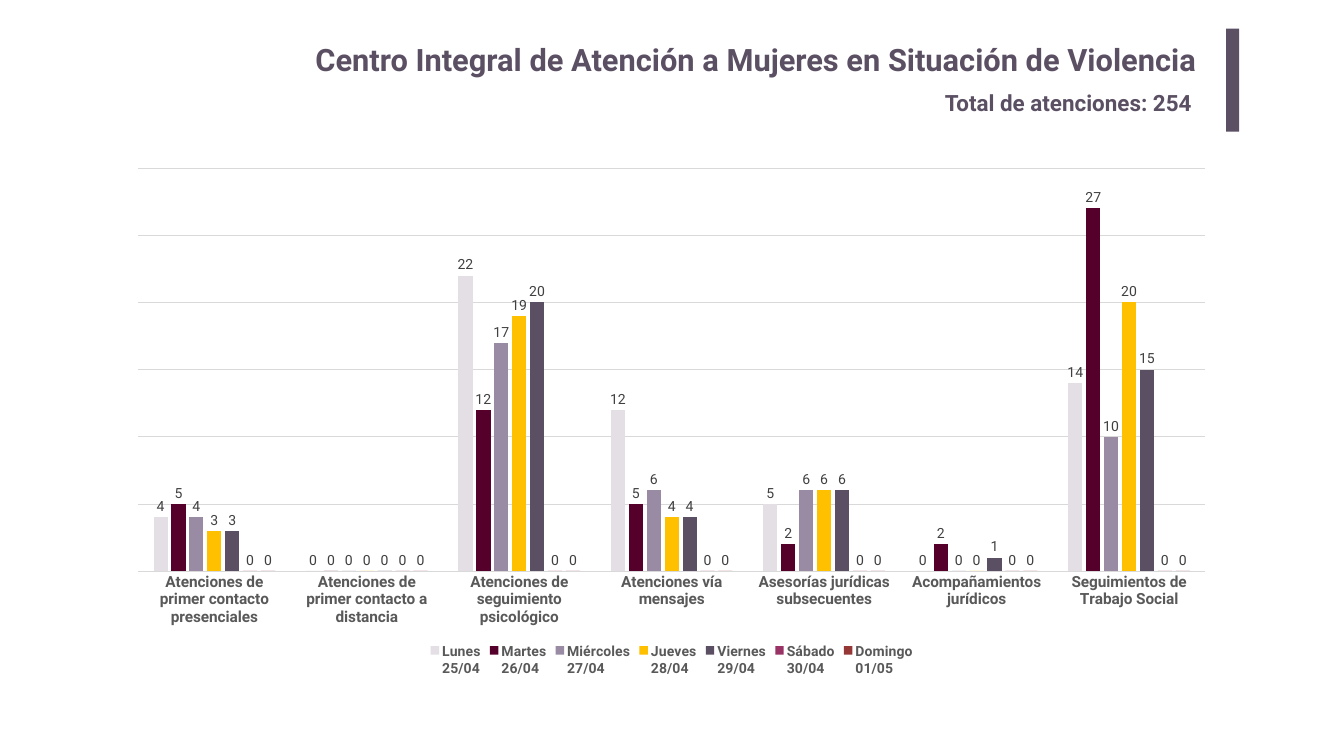
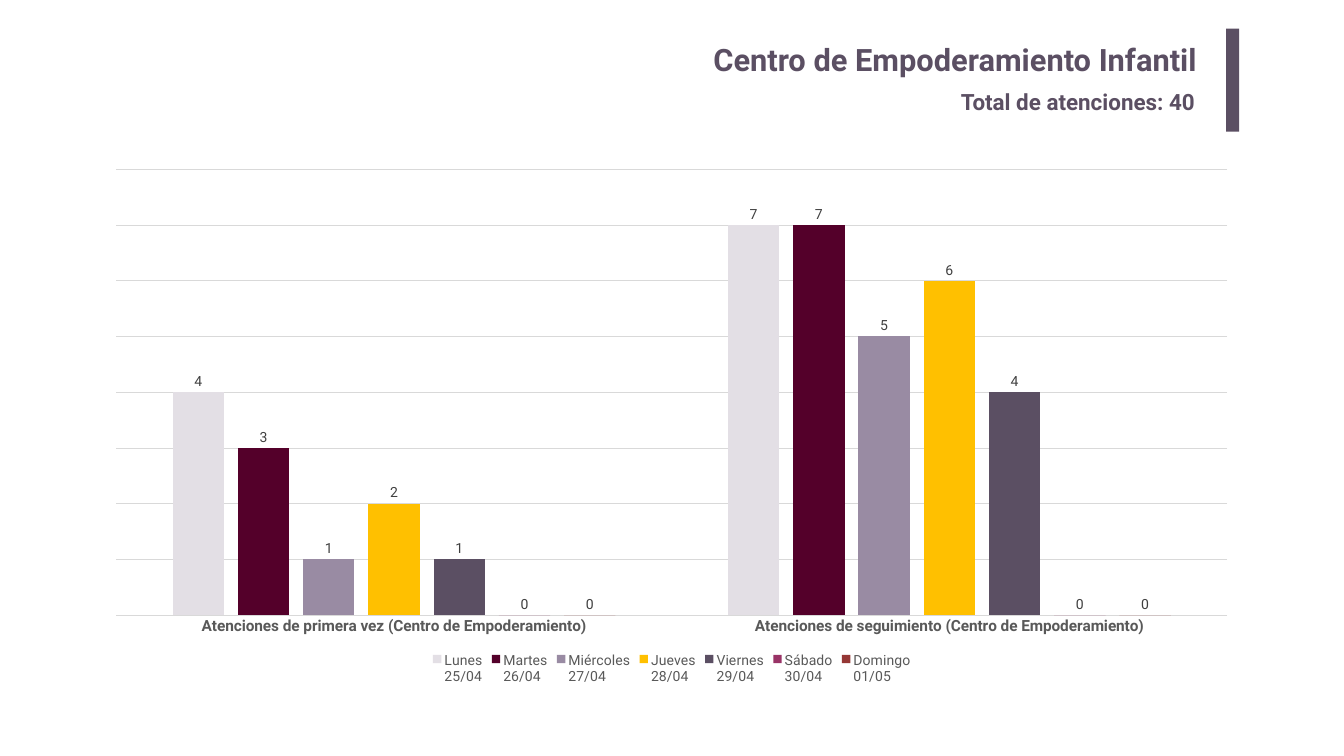
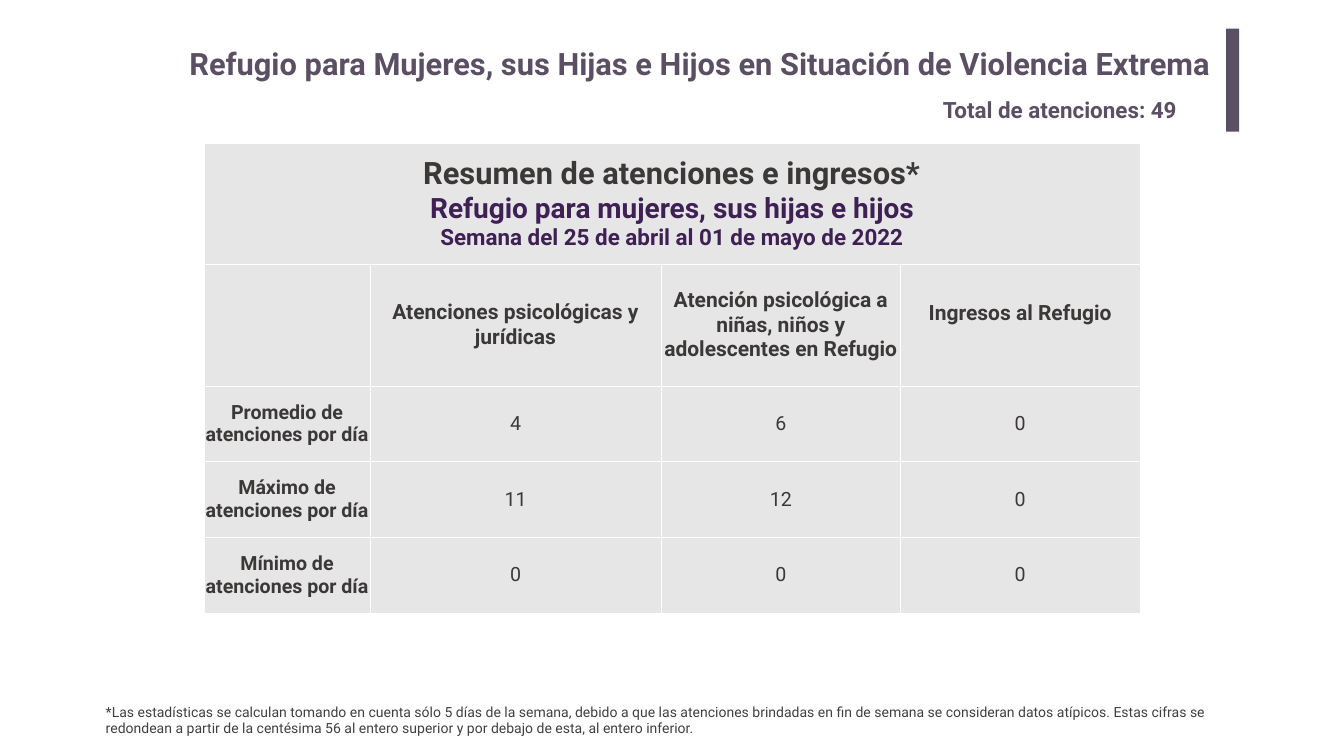
from lxml.etree import SubElement
from pptx import Presentation
from pptx.chart.data import CategoryChartData
from pptx.dml.color import RGBColor
from pptx.enum.chart import XL_CHART_TYPE, XL_LABEL_POSITION, XL_LEGEND_POSITION, XL_TICK_MARK
from pptx.enum.shapes import MSO_SHAPE
from pptx.enum.text import MSO_ANCHOR, MSO_AUTO_SIZE, PP_ALIGN
from pptx.oxml import parse_xml
from pptx.oxml.ns import nsdecls, qn
from pptx.util import Inches, Pt

COLORS = {
    "violet": "5B4F63",
    "purple": "3E2054",
    "ink": "3B3838",
    "text": "404040",
    "axis": "595959",
    "grid": "D9D9D9",
    "cell": "E7E6E6",
    "white": "FFFFFF",
    "black": "000000",
}
DAYS = {
    "Lunes\n25/04": "E3DFE5",
    "Martes\n26/04": "54002A",
    "Miércoles\n27/04": "998BA3",
    "Jueves\n28/04": "FFC000",
    "Viernes\n29/04": "5B4F63",
    "Sábado\n30/04": "993366",
    "Domingo\n01/05": "953735",
}
FORMATS = {
    "title": {"size": Pt(44), "bold": True, "color": "violet"},
    "total": {"size": Pt(32), "bold": True, "color": "violet"},
    "footnote": {"size": Pt(20), "bold": False, "color": "text"},
    "chart": {"size": Pt(10), "color": "black"},
    "category": {"size": Pt(22), "bold": True, "color": "axis"},
    "legend": {"size": Pt(20), "bold": False, "color": "axis"},
    "bold_legend": {"size": Pt(20), "bold": True, "color": "axis"},
    "value": {"size": Pt(20), "bold": False, "color": "text"},
    "summary": {"size": Pt(44), "bold": True, "color": "ink"},
    "shelter": {"size": Pt(40), "bold": True, "color": "purple"},
    "week": {"size": Pt(32), "bold": True, "color": "purple"},
    "column_head": {"size": Pt(30), "bold": True, "color": "ink"},
    "row_head": {"size": Pt(28), "bold": True, "color": "ink"},
    "figure": {"size": Pt(28), "bold": False, "color": "ink"},
}


def rgb(name):
    return RGBColor.from_string(COLORS.get(name, name))


class Report:
    font_name = "Roboto"

    def __init__(self):
        self.deck = Presentation()
        self.deck.slide_width, self.deck.slide_height = Inches(26.67), Inches(15)
        self.slide = None

    def new_slide(self):
        self.slide = self.deck.slides.add_slide(self.deck.slide_layouts[6])

    def style(self, font, format_name):
        font.name = self.font_name
        for attribute, value in FORMATS[format_name].items():
            if attribute == "color":
                font.color.rgb = rgb(value)
            else:
                setattr(font, attribute, value)

    def add_lines(self, frame, lines, align):
        for index, (line, format_name) in enumerate(lines):
            paragraph = frame.paragraphs[0] if index == 0 else frame.add_paragraph()
            paragraph.alignment = align
            run = paragraph.add_run()
            run.text = line
            self.style(run.font, format_name)

    def text(self, box, line, format_name, align=PP_ALIGN.LEFT, **frame_format):
        frame = self.slide.shapes.add_textbox(*map(Inches, box)).text_frame
        settings = {"word_wrap": True, "auto_size": MSO_AUTO_SIZE.SHAPE_TO_FIT_TEXT}
        for attribute, value in {**settings, **frame_format}.items():
            setattr(frame, attribute, value)
        self.add_lines(frame, [(line, format_name)], align)

    def center_title(self, name):
        margins = {"margin_left": 0.2, "margin_right": 0.2, "margin_top": 0.1, "margin_bottom": 0.1}
        self.text(
            (3.66, 0.67, 20.3, 1.02), name, "title", PP_ALIGN.RIGHT,
            auto_size=MSO_AUTO_SIZE.NONE, vertical_anchor=MSO_ANCHOR.MIDDLE,
            **{side: Inches(margin) for side, margin in margins.items()},
        )

    def side_band(self):
        band = self.slide.shapes.add_shape(
            MSO_SHAPE.RECTANGLE, *map(Inches, (24.33, 0.57, 0.26, 2.04))
        )
        band.shadow.inherit = False
        band.fill.solid()
        band.fill.fore_color.rgb = rgb("violet")
        band.line.fill.background()

    def total(self, box, count):
        self.text(box, f"Total de atenciones: {count}", "total")

    def daily_chart(self, box, categories, daily_values, legend_format):
        data = CategoryChartData()
        data.categories = categories
        for day, values in zip(DAYS, daily_values):
            data.add_series(day, values)
        chart = self.slide.shapes.add_chart(
            XL_CHART_TYPE.COLUMN_CLUSTERED, *map(Inches, box), data
        ).chart
        self.style(chart.font, "chart")
        chart.has_title = False
        chart.has_legend = True
        chart.legend.position = XL_LEGEND_POSITION.BOTTOM
        chart.legend.include_in_layout = False
        self.style(chart.legend.font, legend_format)

        plot = chart.plots[0]
        for attribute, value in {"gap_width": 219, "overlap": -27, "vary_by_categories": False}.items():
            setattr(plot, attribute, value)
        for series, color in zip(plot.series, DAYS.values()):
            series.format.fill.solid()
            series.format.fill.fore_color.rgb = rgb(color)
            labels = series.data_labels
            labels.show_value = True
            labels.position = XL_LABEL_POSITION.OUTSIDE_END
            self.style(labels.font, "value")

        category_axis, value_axis = chart.category_axis, chart.value_axis
        category_axis.major_tick_mark = XL_TICK_MARK.NONE
        self.style(category_axis.tick_labels.font, "category")
        value_axis.visible = False
        value_axis.has_major_gridlines = True
        for line in (category_axis.format.line, value_axis.major_gridlines.format.line):
            line.color.rgb = rgb("grid")
            line.width = Pt(0.75)

    def cell_borders(self, cell):
        properties = cell._tc.get_or_add_tcPr()
        for position, side in enumerate(("lnL", "lnR", "lnT", "lnB")):
            border = parse_xml(f'<a:{side} {nsdecls("a")} w="12700"/>')
            fill = SubElement(border, qn("a:solidFill"))
            SubElement(fill, qn("a:srgbClr")).set("val", COLORS["white"])
            properties.insert(position, border)

    def table(self, box, widths, heights, rows):
        table = self.slide.shapes.add_table(len(heights), len(widths), *map(Inches, box)).table
        table.first_row = table.horz_banding = False
        for column, width in zip(table.columns, widths):
            column.width = Inches(width)
        for row, height in zip(table.rows, heights):
            row.height = Inches(height)
        cell_format = {"vertical_anchor": MSO_ANCHOR.MIDDLE}
        cell_format.update(dict.fromkeys(
            ("margin_left", "margin_right", "margin_top", "margin_bottom"), 0))
        for cell in table.iter_cells():
            for attribute, value in cell_format.items():
                setattr(cell, attribute, value)
            cell.fill.solid()
            cell.fill.fore_color.rgb = rgb("cell")
            self.cell_borders(cell)
        table.cell(0, 0).merge(table.cell(0, len(widths) - 1))
        for row_index, row in enumerate(rows):
            for column_index, lines in enumerate(row):
                frame = table.cell(row_index, column_index).text_frame
                self.add_lines(frame, lines, PP_ALIGN.CENTER)
        return table


def women_center(report):
    report.new_slide()
    report.center_title("Centro Integral de Atención a Mujeres en Situación de Violencia")
    report.side_band()
    report.total((18.65, 1.71, 5.31, 0.65), 254)
    services = [
        "Atenciones de primer contacto presenciales",
        "Atenciones de primer contacto a distancia",
        "Atenciones de seguimiento psicológico",
        "Atenciones vía mensajes",
        "Asesorías jurídicas subsecuentes",
        "Acompañamientos jurídicos",
        "Seguimientos de Trabajo Social",
    ]
    daily_values = [
        (4, 0, 22, 12, 5, 0, 14),
        (5, 0, 12, 5, 2, 2, 27),
        (4, 0, 17, 6, 6, 0, 10),
        (3, 0, 19, 4, 6, 0, 20),
        (3, 0, 20, 4, 6, 1, 15),
        (0,) * 7,
        (0,) * 7,
    ]
    report.daily_chart((2.3, 3.13, 22.06, 10.36), services, daily_values, "bold_legend")


def children_center(report):
    report.new_slide()
    report.center_title("Centro de Empoderamiento Infantil")
    report.side_band()
    report.total((18.97, 1.69, 5.05, 0.64), 40)
    services = [
        f"Atenciones de {stage} (Centro de Empoderamiento)"
        for stage in ("primera vez", "seguimiento")
    ]
    daily_values = [(4, 7), (3, 7), (1, 5), (2, 6), (1, 4), (0, 0), (0, 0)]
    report.daily_chart((1.85, 3.15, 22.96, 10.51), services, daily_values, "legend")


def shelter(report):
    report.new_slide()
    summary = [
        ("Resumen de atenciones e ingresos*", "summary"),
        ("Refugio para mujeres, sus hijas e hijos", "shelter"),
        ("Semana del 25 de abril al 01 de mayo de 2022", "week"),
    ]
    heads = [
        "Atenciones psicológicas y jurídicas",
        "Atención psicológica a niñas, niños y adolescentes en Refugio",
        "Ingresos al Refugio",
    ]
    measures = {"Promedio": (4, 6, 0), "Máximo": (11, 12, 0), "Mínimo": (0, 0, 0)}
    rows = [[summary], [[]] + [[(head, "column_head")] for head in heads]]
    for measure, figures in measures.items():
        row_head = [(f"{measure} de atenciones por día", "row_head")]
        rows.append([row_head] + [[(str(figure), "figure")] for figure in figures])
    table = report.table(
        (4.05, 2.84, 18.56, 9.32), (3.29, 5.78, 4.75, 4.75), (2.4, 2.42, 1.5, 1.5, 1.5), rows
    )
    table.cell(1, 3).margin_bottom = Inches(0.48)
    report.side_band()
    report.total((18.61, 1.85, 5.35, 0.64), 49)
    report.text(
        (3.66, 0.84, 20.73, 0.84),
        "Refugio para Mujeres, sus Hijas e Hijos en Situación de Violencia Extrema",
        "title",
    )
    report.text(
        (2, 13.9, 22.33, 0.77),
        "*Las estadísticas se calculan tomando en cuenta sólo 5 días de la semana, debido a que "
        "las atenciones brindadas en fin de semana se consideran datos atípicos. Estas cifras se "
        "redondean a partir de la centésima 56 al entero superior y por debajo de esta, al entero "
        "inferior.",
        "footnote",
    )


def main():
    report = Report()
    women_center(report)
    children_center(report)
    shelter(report)
    report.deck.save("out.pptx")


if __name__ == "__main__":
    main()
